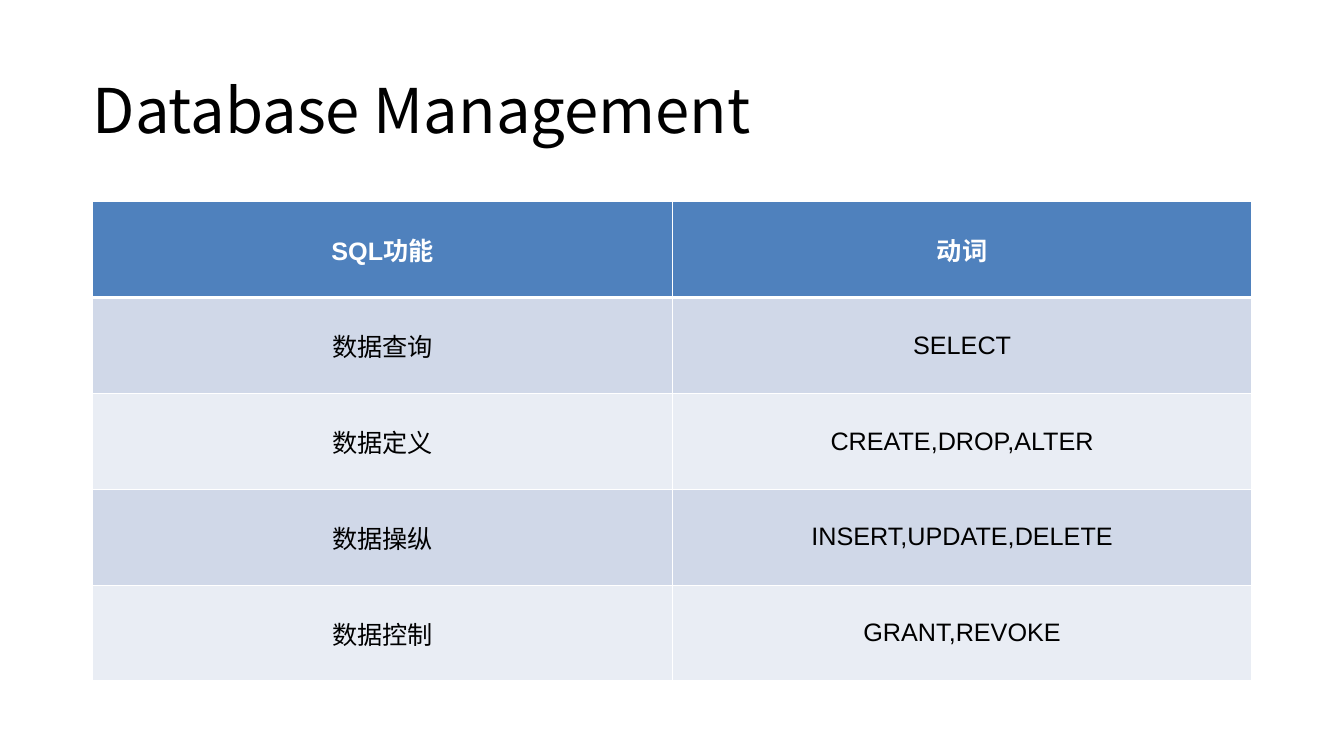
from lxml import etree
from pptx import Presentation
from pptx.dml.color import RGBColor
from pptx.enum.text import MSO_ANCHOR, PP_ALIGN
from pptx.oxml.ns import qn
from pptx.util import Pt

MIDDLE = MSO_ANCHOR.MIDDLE
LEFT, CENTER = PP_ALIGN.LEFT, PP_ALIGN.CENTER
CJK_FONT = "Noto Sans CJK SC"
BLACK, WHITE = "000000", "FFFFFF"
HEADER_FILL = "4F81BD"
BAND_FILLS = ("D0D8E8", "E9EDF4")
MARGIN, CONTENT_WIDTH = 66.24, 828
ROW_HEIGHT = 68.5
ROWS = (
    ("SQL功能", "动词"),
    ("数据查询", "SELECT"),
    ("数据定义", "CREATE,DROP,ALTER"),
    ("数据操纵", "INSERT,UPDATE,DELETE"),
    ("数据控制", "GRANT,REVOKE"),
)


def color(hex_code):
    """Turn a hex string into a colour."""
    return RGBColor.from_string(hex_code)


def write_text(text_frame, text, *, size, font="Arial", fill=BLACK,
               bold=False, align=LEFT, line_spacing=None):
    """Write one formatted paragraph into a text frame."""
    paragraph = text_frame.paragraphs[0]
    paragraph.alignment = align
    paragraph.line_spacing = line_spacing
    run = paragraph.add_run()
    run.text = text
    run.font.name = font
    run.font.size = Pt(size)
    run.font.bold = bold
    run.font.color.rgb = color(fill)
    latin = run.font._element.find(qn("a:latin"))
    latin.addnext(etree.Element(qn("a:ea"), typeface=CJK_FONT))


def add_title(slide, text):
    """Add the slide title without inner margins."""
    box = slide.shapes.add_textbox(Pt(MARGIN), Pt(28.8), Pt(CONTENT_WIDTH), Pt(104.4))
    frame = box.text_frame
    frame.word_wrap = True
    frame.vertical_anchor = MIDDLE
    frame.margin_left = frame.margin_right = frame.margin_top = frame.margin_bottom = 0
    write_text(frame, text, size=44, font=CJK_FONT, line_spacing=0.9)


def add_borders(cell, top, bottom):
    """Draw white cell borders with the given top and bottom widths."""
    properties = cell._tc.get_or_add_tcPr()
    for side, width in (("L", 1), ("R", 1), ("T", top), ("B", bottom)):
        line = etree.SubElement(properties, qn(f"a:ln{side}"), w=str(Pt(width)))
        solid = etree.SubElement(line, qn("a:solidFill"))
        etree.SubElement(solid, qn("a:srgbClr"), val=WHITE)


def add_command_table(slide):
    """Add the table of SQL functions and their verbs."""
    table = slide.shapes.add_table(
        len(ROWS), len(ROWS[0]), Pt(MARGIN), Pt(144),
        Pt(CONTENT_WIDTH), Pt(ROW_HEIGHT * len(ROWS))).table
    for row_index, row in enumerate(ROWS):
        is_header = row_index == 0
        fill = HEADER_FILL if is_header else BAND_FILLS[(row_index - 1) % 2]
        for column_index, text in enumerate(row):
            cell = table.cell(row_index, column_index)
            cell.vertical_anchor = MIDDLE
            add_borders(cell, top=3 if row_index == 1 else 1, bottom=3 if is_header else 1)
            cell.fill.solid()
            cell.fill.fore_color.rgb = color(fill)
            write_text(cell.text_frame, text, size=18, bold=is_header,
                       fill=WHITE if is_header else BLACK, align=CENTER)


def main():
    """Build and save the slide."""
    presentation = Presentation()
    presentation.slide_width, presentation.slide_height = Pt(960), Pt(540)
    slide = presentation.slides.add_slide(presentation.slide_layouts[6])
    add_title(slide, "Database Management")
    add_command_table(slide)
    presentation.save("out.pptx")


main()
